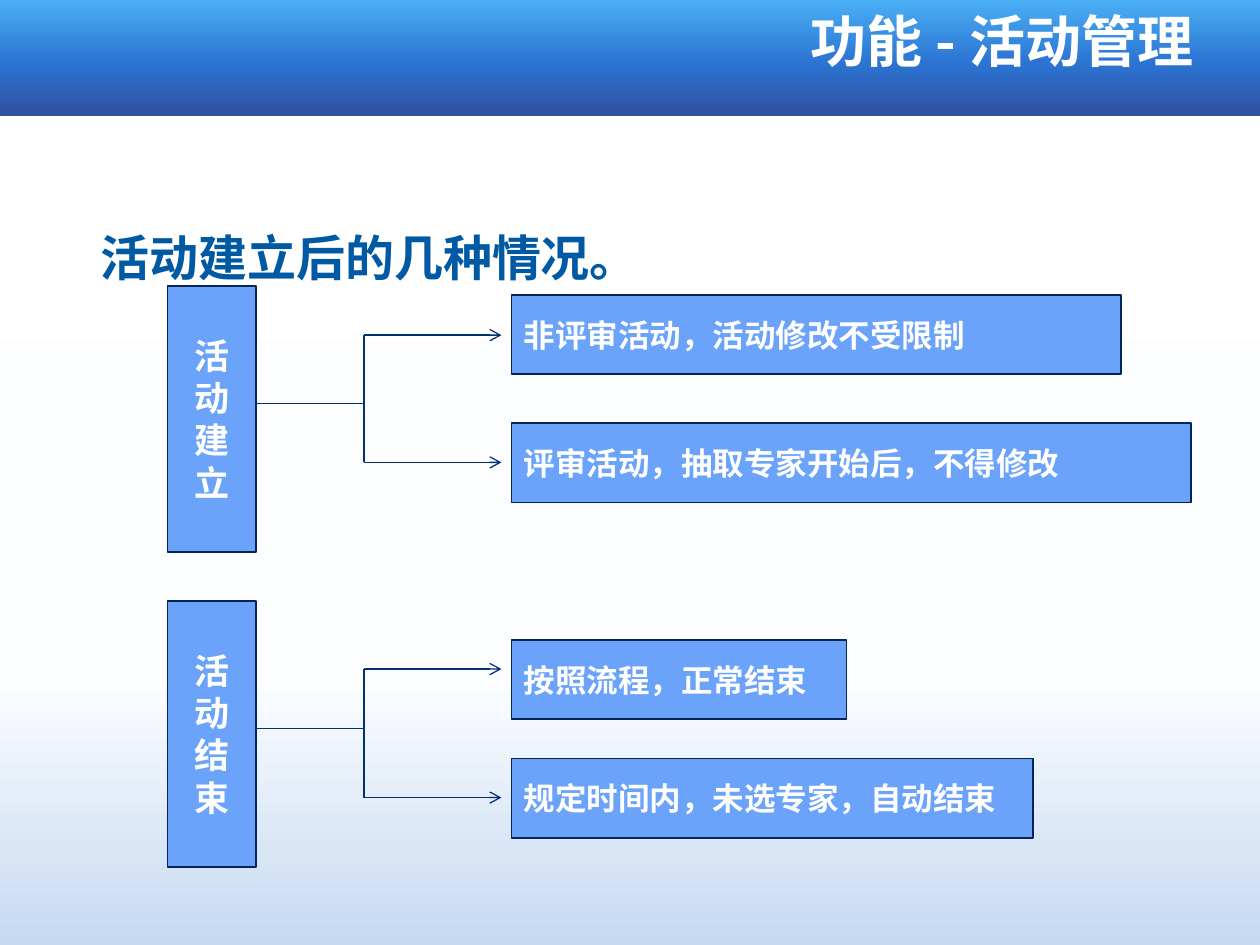
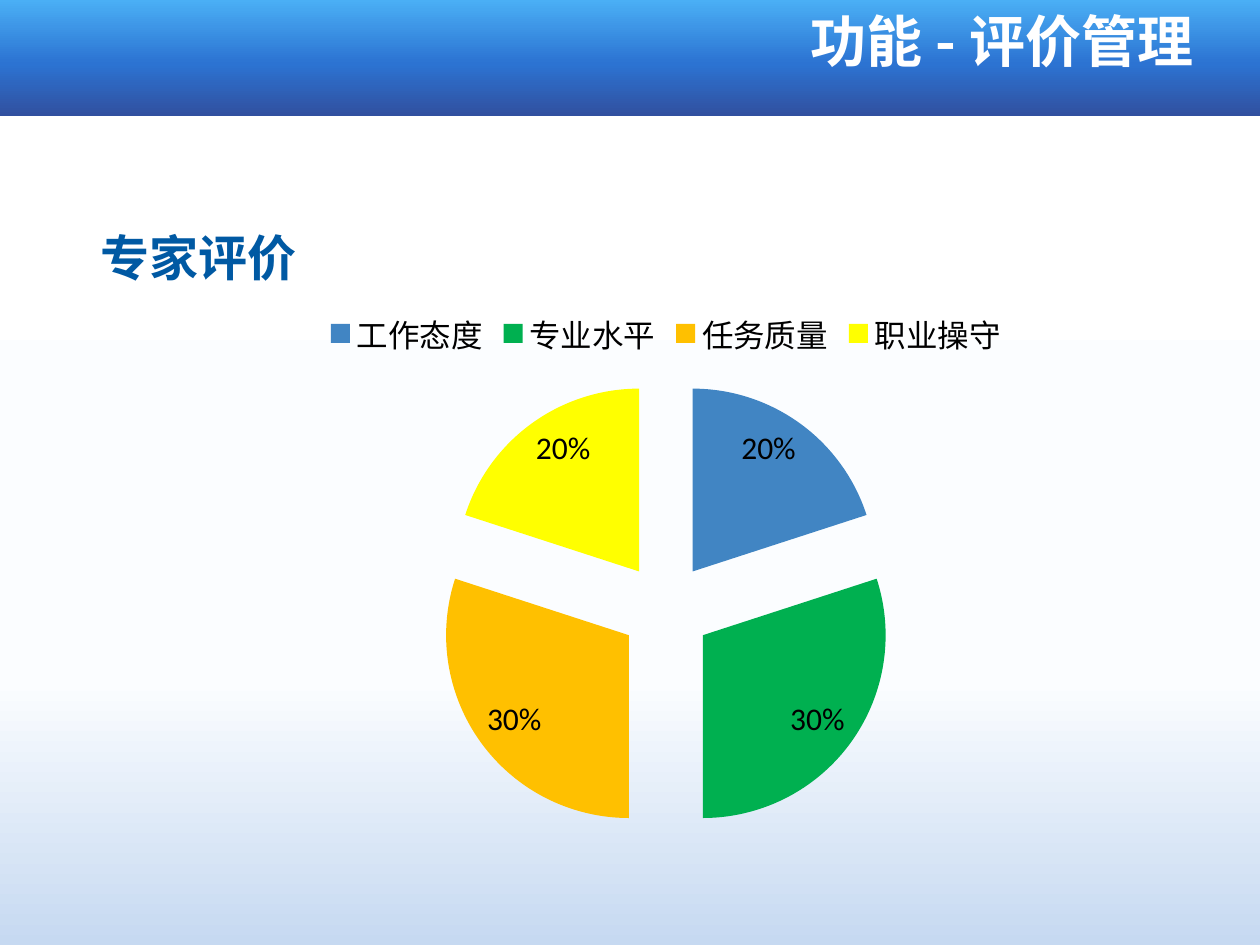
from lxml.etree import SubElement
from pptx import Presentation
from pptx.chart.data import CategoryChartData
from pptx.dml.color import RGBColor
from pptx.enum.chart import XL_CHART_TYPE as ChartType
from pptx.enum.chart import XL_LABEL_POSITION as LabelSpot
from pptx.enum.chart import XL_LEGEND_POSITION as LegendSpot
from pptx.enum.shapes import MSO_CONNECTOR as Connector
from pptx.enum.shapes import MSO_SHAPE as Preset
from pptx.enum.text import MSO_ANCHOR as Anchor
from pptx.enum.text import PP_ALIGN as Align
from pptx.oxml.ns import qn
from pptx.util import Inches, Pt

COLORS = {
    "white": "FFFFFF",
    "black": "000000",
    "heading": "0059A3",
    "box": "6AA3F9",
    "border": "042557",
    "link": "023075",
}
BAND_STOPS = [(0, "31509F"), (45, "2C73D2"), (100, "4AAFF5")]
PAGE_STOPS = [(0, "C6D9F1"), (28, "FBFDFF"), (100, "FFFFFF")]
CJK_FONT, LATIN_FONT = "Noto Sans CJK SC", "Calibri"
COLUMNS, ROWS = 100, 75

CAUSE_LEFT, CAUSE_WIDTH, CAUSE_HEIGHT = 13.3, 7, 21.1
TRUNK, ARROW_END = 28.9, 39.8
CASE_LEFT, CASE_HEIGHT = 40.6, 6.3

FLOWS = [
    ("活动建立", 22.7, 32, [
        ("非评审活动，活动修改不受限制", 23.4, 48.4, 26.6),
        ("评审活动，抽取专家开始后，不得修改", 33.6, 53.9, 36.7),
    ]),
    ("活动结束", 47.7, 57.8, [
        ("按照流程，正常结束", 50.8, 26.6, 53.1),
        ("规定时间内，未选专家，自动结束", 60.2, 41.4, 63.3),
    ]),
]
RATINGS = [
    ("工作态度", 20, "4185C3"),
    ("专业水平", 30, "00B050"),
    ("任务质量", 30, "FFC000"),
    ("职业操守", 20, "FFFF00"),
]


def rgb(name):
    return RGBColor.from_string(COLORS.get(name, name))


class Canvas:
    def __init__(self):
        self.deck = Presentation()
        self.deck.slide_width, self.deck.slide_height = Inches(10), Inches(7.5)
        self.column = self.deck.slide_width / COLUMNS
        self.row = self.deck.slide_height / ROWS
        self.page = None

    def place(self, left, top, width, height):
        return (round(left * self.column), round(top * self.row),
                round(width * self.column), round(height * self.row))

    def gradient(self, fill, owner, stops):
        fill.gradient()
        fill.gradient_angle = 90
        stop_list = owner.find(".//" + qn("a:gsLst"))
        for old_stop in list(stop_list):
            stop_list.remove(old_stop)
        for percent, color in stops:
            stop = SubElement(stop_list, qn("a:gs"), pos=str(percent * 1000))
            SubElement(stop, qn("a:srgbClr"), val=color)

    def start_page(self, title, heading):
        self.page = self.deck.slides.add_slide(self.deck.slide_layouts[6])
        self.gradient(self.page.background.fill, self.page.element, PAGE_STOPS)
        band = self.rectangle(0, 0, COLUMNS, 9.2)
        self.gradient(band.fill, band.element, BAND_STOPS)
        band.line.fill.background()
        self.text(20, 0.5, 75.7, 7.9, title, 32, "white", Align.RIGHT, Anchor.TOP)
        self.text(7, 12.5, 85.2, 10.4, heading, 28, "heading", Align.LEFT, Anchor.BOTTOM)

    def rectangle(self, *area):
        box = self.page.shapes.add_shape(Preset.RECTANGLE, *self.place(*area))
        box.shadow.inherit = False
        return box

    def add_words(self, frame, words, size, color, align, anchor, font):
        frame.word_wrap = True
        frame.vertical_anchor = anchor
        para = frame.paragraphs[0]
        para.alignment = align
        span = para.add_run()
        span.text = words
        span.font.size, span.font.bold = Pt(size), True
        span.font.name = font
        span.font.color.rgb = rgb(color)
        SubElement(span.font._element, qn("a:ea"), typeface=CJK_FONT)
        return para

    def text(self, left, top, width, height, words, size, color, align, anchor):
        box = self.page.shapes.add_textbox(*self.place(left, top, width, height))
        frame = box.text_frame
        frame.margin_top, frame.margin_bottom = 0, Inches(0.02)
        self.add_words(frame, words, size, color, align, anchor, CJK_FONT)

    def label_box(self, left, top, width, height, words, size, align):
        box = self.rectangle(left, top, width, height)
        box.fill.solid()
        box.fill.fore_color.rgb = rgb("box")
        box.line.color.rgb = rgb("border")
        box.line.width = Pt(1)
        return self.add_words(box.text_frame, words, size, "white", align,
                              Anchor.MIDDLE, LATIN_FONT)

    def line(self, left, top, right, bottom, arrow=False):
        link = self.page.shapes.add_connector(
            Connector.STRAIGHT, *self.place(left, top, right, bottom))
        link.line.color.rgb = rgb("link")
        link.line.width = Pt(0.75)
        if arrow:
            SubElement(link.line._get_or_add_ln(), qn("a:tailEnd"), type="arrow")
        SubElement(link.element.spPr, qn("a:effectLst"))

    def flow(self, cause, top, stem, cases):
        para = self.label_box(CAUSE_LEFT, top, CAUSE_WIDTH, CAUSE_HEIGHT,
                              cause, 20, Align.CENTER)
        para.line_spacing = Pt(24)
        self.line(CAUSE_LEFT + CAUSE_WIDTH, stem, TRUNK, stem)
        self.line(TRUNK, cases[0][-1], TRUNK, cases[-1][-1])
        for words, case_top, width, branch in cases:
            self.line(TRUNK, branch, ARROW_END, branch, arrow=True)
            self.label_box(CASE_LEFT, case_top, width, CASE_HEIGHT,
                           words, 18, Align.LEFT)

    def pie(self, left, top, width, height, slices):
        names, values, colors = zip(*slices)
        data = CategoryChartData()
        data.categories = names
        data.add_series("Series 1", values)
        chart = self.page.shapes.add_chart(
            ChartType.PIE_EXPLODED, *self.place(left, top, width, height), data).chart
        chart.has_title = False
        chart.font.name, chart.font.size = LATIN_FONT, Pt(18)
        chart.font.color.rgb = rgb("black")
        chart.has_legend = True
        chart.legend.position = LegendSpot.TOP
        chart.legend.include_in_layout = False
        plot = chart.plots[0]
        plot.vary_by_categories = True
        plot.has_data_labels = True
        labels = plot.data_labels
        labels.show_percentage, labels.show_value = True, False
        labels.number_format, labels.number_format_is_linked = "0%", False
        labels.position = LabelSpot.INSIDE_END
        for index, color in enumerate(colors):
            fill = plot.series[0].points[index].format.fill
            fill.solid()
            fill.fore_color.rgb = rgb(color)


def main():
    canvas = Canvas()
    canvas.start_page("功能 - 活动管理", "活动建立后的几种情况。")
    for flow in FLOWS:
        canvas.flow(*flow)
    canvas.start_page("功能 - 评价管理", "专家评价")
    canvas.pie(19.5, 23.4, 66.7, 44.4, RATINGS)
    canvas.deck.save("out.pptx")


if __name__ == "__main__":
    main()
